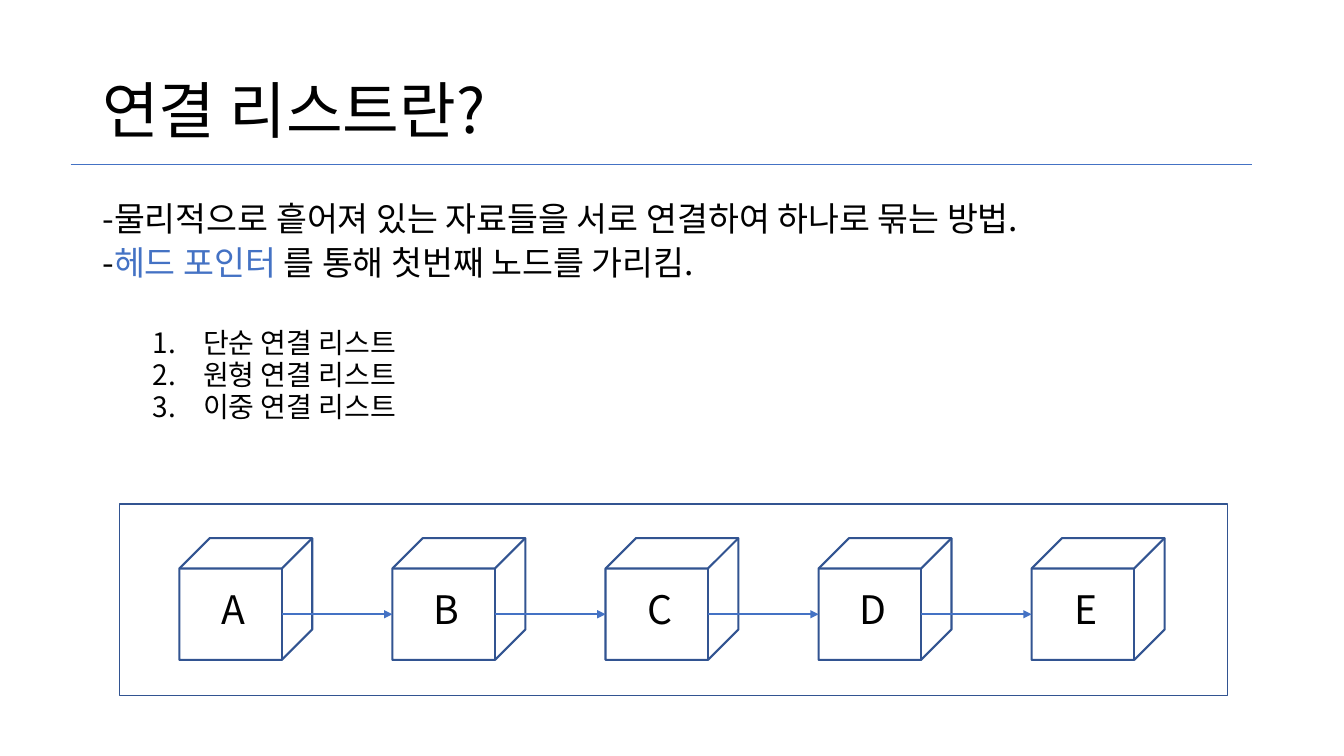
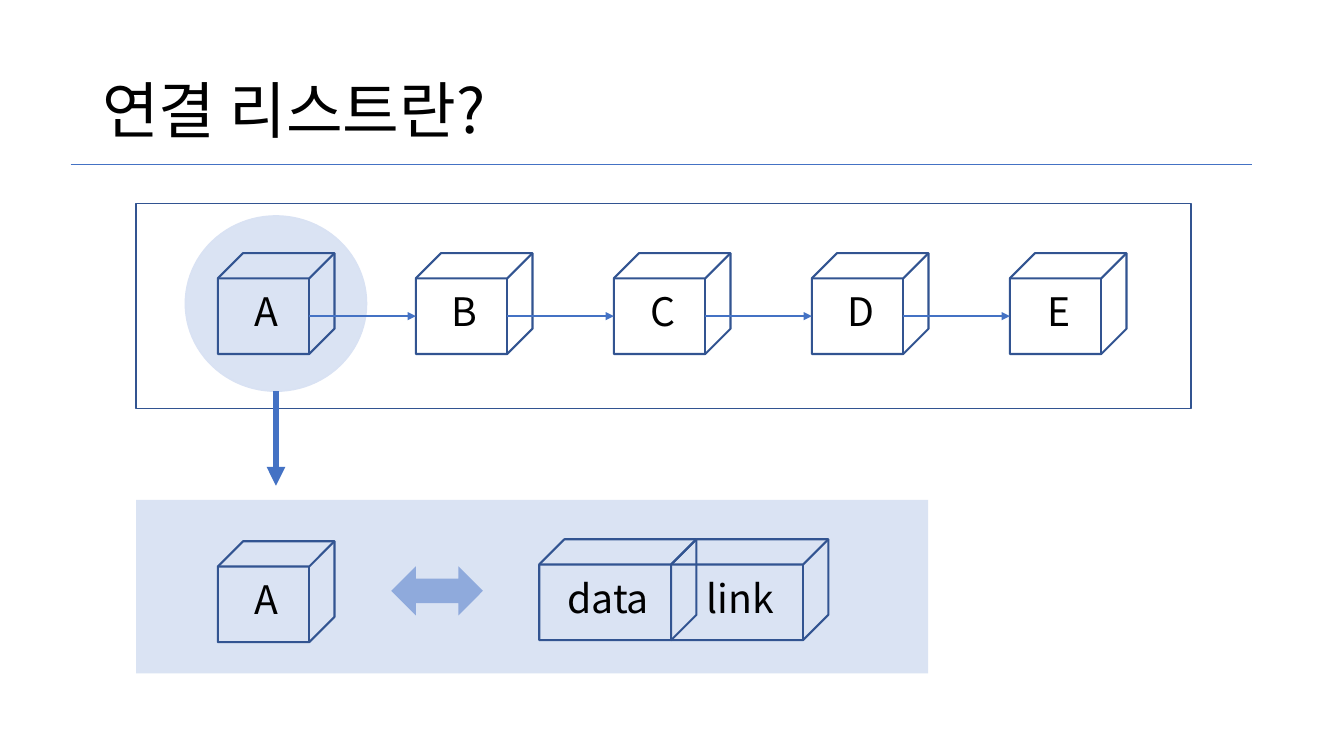
from dataclasses import dataclass
from typing import Optional

from lxml import etree
from pptx import Presentation
from pptx.dml.color import RGBColor
from pptx.enum.shapes import MSO_CONNECTOR, MSO_SHAPE
from pptx.enum.text import MSO_ANCHOR, PP_ALIGN
from pptx.oxml.ns import qn
from pptx.shapes.autoshape import Shape
from pptx.slide import Slide
from pptx.text.text import TextFrame, _Paragraph, _Run
from pptx.util import Cm, Pt

RECTANGLE = MSO_SHAPE.RECTANGLE
OVAL = MSO_SHAPE.OVAL
CUBE = MSO_SHAPE.CUBE
DOUBLE_ARROW = MSO_SHAPE.LEFT_RIGHT_ARROW
STRAIGHT = MSO_CONNECTOR.STRAIGHT
MIDDLE = MSO_ANCHOR.MIDDLE
CENTER = PP_ALIGN.CENTER


@dataclass(frozen=True)
class Theme:
    font: str = "Noto Sans CJK KR"
    text: RGBColor = RGBColor(0x00, 0x00, 0x00)
    accent: RGBColor = RGBColor(0x44, 0x72, 0xC4)
    outline: RGBColor = RGBColor(0x32, 0x54, 0x91)
    panel: RGBColor = RGBColor(0xDA, 0xE3, 0xF3)
    halo_edge: RGBColor = RGBColor(0xD9, 0xE2, 0xF3)
    arrow_fill: RGBColor = RGBColor(0x8F, 0xAA, 0xDC)
    title_size: float = 44
    label_size: float = 28
    body_size: float = 24
    list_size: float = 20
    title_spacing: float = 0.9
    body_spacing: float = 0.74
    rule_width: float = 0.5
    frame_width: float = 1
    cube_width: float = 1.5
    callout_width: float = 4.5


@dataclass(frozen=True)
class Box:
    left: float
    top: float
    width: float
    height: float


@dataclass(frozen=True)
class Node:
    label: str
    box: Box

    @property
    def depth(self) -> float:
        return min(self.box.width, self.box.height) / 4

    @property
    def face_right(self) -> float:
        return self.box.left + self.box.width - self.depth

    @property
    def face_middle(self) -> float:
        return self.box.top + (self.box.height + self.depth) / 2


@dataclass(frozen=True)
class Chain:
    frame: Box
    first: Box
    pitch: float
    labels: str = "ABCDE"

    def nodes(self) -> list[Node]:
        return [
            Node(label, Box(self.first.left + index * self.pitch, self.first.top,
                            self.first.width, self.first.height))
            for index, label in enumerate(self.labels)
        ]


THEME = Theme()
TITLE = "연결 리스트란?"
TITLE_BOX = Box(2.33, 1.01, 29.21, 3.68)
BODY_BOX = Box(2.33, 5.12, 29.21, 6.6)
DEFINITION = "-물리적으로 흩어져 있는 자료들을 서로 연결하여 하나로 묶는 방법."
HEAD_POINTER = ("-", "헤드 포인터 ", "를 통해 첫번째 노드를 가리킴.")
LIST_KINDS = ("단순 연결 리스트", "원형 연결 리스트", "이중 연결 리스트")
OVERVIEW_CHAIN = Chain(Box(3.02, 12.7, 27.91, 4.83), Box(4.52, 13.56, 3.35, 3.07), 5.37)
DETAIL_CHAIN = Chain(Box(3.43, 5.13, 26.59, 5.16), Box(5.49, 6.38, 2.94, 2.54), 4.99)
HALO = Box(4.67, 5.44, 4.57, 4.42)
DETAIL_PANEL = Box(3.43, 12.6, 19.96, 4.37)
EQUIVALENCE = Box(9.86, 14.27, 2.31, 1.24)
SINGLE_NODE = Node("A", Box(5.49, 13.64, 2.94, 2.54))
DATA_NODE = Node("data", Box(13.59, 13.59, 3.96, 2.54))
LINK_NODE = Node("link", Box(DATA_NODE.face_right, 13.59, 3.96, 2.54))


def style_run(run: _Run, size: float, color: RGBColor = THEME.text) -> None:
    run.font.size = Pt(size)
    run.font.color.rgb = color
    run.font.name = THEME.font
    properties = run.font._element
    east_asian = properties.makeelement(qn("a:ea"), {"typeface": THEME.font})
    properties.find(qn("a:latin")).addnext(east_asian)


def style_paragraph(paragraph: _Paragraph, size: float, spacing: float, before: float = 0) -> None:
    paragraph.line_spacing = spacing
    paragraph.space_before = Pt(before)
    for run in paragraph.runs:
        style_run(run, size)


def add_text_box(slide: Slide, box: Box) -> TextFrame:
    shape = slide.shapes.add_textbox(Cm(box.left), Cm(box.top), Cm(box.width), Cm(box.height))
    shape.text_frame.word_wrap = True
    return shape.text_frame


def add_preset(slide: Slide, kind: MSO_SHAPE, box: Box, fill: Optional[RGBColor] = None,
               line: Optional[RGBColor] = None, width: float = THEME.frame_width) -> Shape:
    shape = slide.shapes.add_shape(kind, Cm(box.left), Cm(box.top), Cm(box.width), Cm(box.height))
    shape.shadow.inherit = False
    if fill is None:
        shape.fill.background()
    else:
        shape.fill.solid()
        shape.fill.fore_color.rgb = fill
    if line is None:
        shape.line.fill.background()
    else:
        shape.line.color.rgb = line
        shape.line.width = Pt(width)
    return shape


def add_line(slide: Slide, start: tuple[float, float], end: tuple[float, float],
             width: float, arrow: bool = True) -> None:
    connector = slide.shapes.add_connector(STRAIGHT, *map(Cm, start), *map(Cm, end))
    connector.line.color.rgb = THEME.accent
    connector.line.width = Pt(width)
    properties = connector.element.spPr
    if arrow:
        etree.SubElement(properties.find(qn("a:ln")), qn("a:tailEnd"), type="triangle")
    etree.SubElement(properties, qn("a:effectLst"))


def add_node(slide: Slide, node: Node) -> None:
    shape = add_preset(slide, CUBE, node.box, line=THEME.outline, width=THEME.cube_width)
    text_frame = shape.text_frame
    text_frame.text = node.label
    text_frame.word_wrap = False
    text_frame.vertical_anchor = MIDDLE
    text_frame.margin_left, text_frame.margin_right = Cm(0.15), Cm(0)
    text_frame.margin_top, text_frame.margin_bottom = Cm(0), Cm(0.25)
    paragraph = text_frame.paragraphs[0]
    paragraph.alignment = CENTER
    style_run(paragraph.runs[0], THEME.label_size)


def add_chain(slide: Slide, chain: Chain) -> None:
    add_preset(slide, RECTANGLE, chain.frame, line=THEME.outline)
    nodes = chain.nodes()
    for node in nodes:
        add_node(slide, node)
    for source, target in zip(nodes, nodes[1:]):
        add_line(slide, (source.face_right, source.face_middle),
                 (target.box.left, target.face_middle), THEME.cube_width)


def add_titled_slide(presentation: Presentation) -> Slide:
    slide = presentation.slides.add_slide(presentation.slide_layouts[6])
    text_frame = add_text_box(slide, TITLE_BOX)
    text_frame.vertical_anchor = MIDDLE
    text_frame.text = TITLE
    style_paragraph(text_frame.paragraphs[0], THEME.title_size, THEME.title_spacing)
    add_line(slide, (1.78, 4.14), (31.54, 4.14), THEME.rule_width, arrow=False)
    return slide


def add_definition(slide: Slide) -> None:
    text_frame = add_text_box(slide, BODY_BOX)
    text_frame.text = DEFINITION
    style_paragraph(text_frame.paragraphs[0], THEME.body_size, THEME.body_spacing)
    paragraph = text_frame.add_paragraph()
    for text in HEAD_POINTER:
        paragraph.add_run().text = text
    style_paragraph(paragraph, THEME.body_size, THEME.body_spacing, before=10)
    paragraph.runs[1].font.color.rgb = THEME.accent
    for index, kind in enumerate(LIST_KINDS):
        paragraph = text_frame.add_paragraph()
        paragraph.text = kind
        properties = paragraph._p.get_or_add_pPr()
        properties.set("marL", str(Cm(2.54)))
        properties.set("indent", str(Cm(-1.27)))
        etree.SubElement(properties, qn("a:buFont"), typeface=THEME.font)
        etree.SubElement(properties, qn("a:buAutoNum"), type="arabicPeriod")
        style_paragraph(paragraph, THEME.list_size, THEME.body_spacing,
                        before=5 if index else 37)


def build_overview(presentation: Presentation) -> None:
    slide = add_titled_slide(presentation)
    add_definition(slide)
    add_chain(slide, OVERVIEW_CHAIN)


def build_node_detail(presentation: Presentation) -> None:
    slide = add_titled_slide(presentation)
    add_preset(slide, RECTANGLE, DETAIL_PANEL, fill=THEME.panel)
    add_preset(slide, OVAL, HALO, fill=THEME.panel, line=THEME.halo_edge)
    add_chain(slide, DETAIL_CHAIN)
    center = HALO.left + HALO.width / 2
    add_line(slide, (center, HALO.top + HALO.height), (center, 12.24), THEME.callout_width)
    add_preset(slide, DOUBLE_ARROW, EQUIVALENCE, fill=THEME.arrow_fill)
    for node in (SINGLE_NODE, DATA_NODE, LINK_NODE):
        add_node(slide, node)


def main() -> None:
    presentation = Presentation()
    presentation.slide_width = Cm(33.87)
    presentation.slide_height = Cm(19.05)
    build_overview(presentation)
    build_node_detail(presentation)
    presentation.save("out.pptx")


if __name__ == "__main__":
    main()
